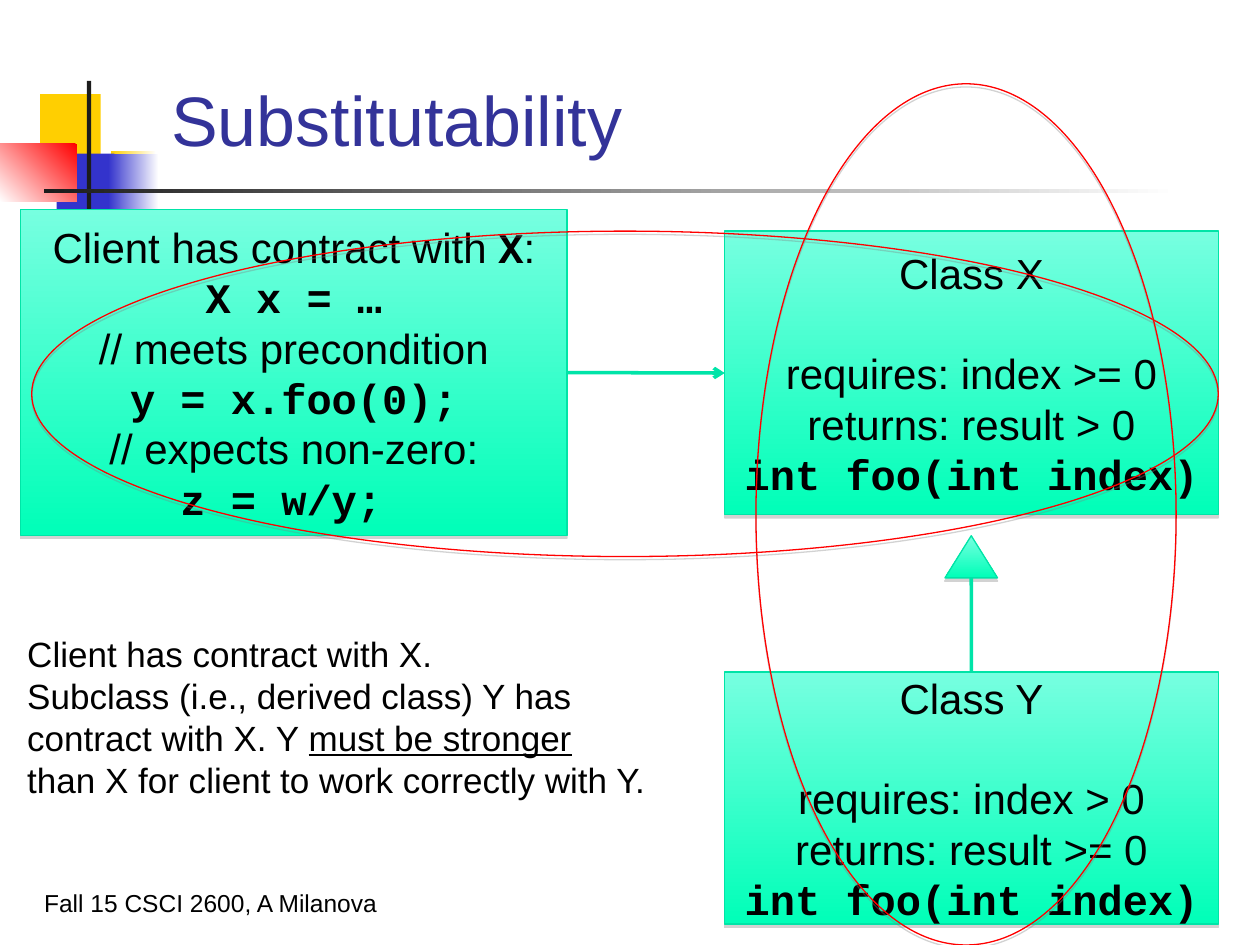
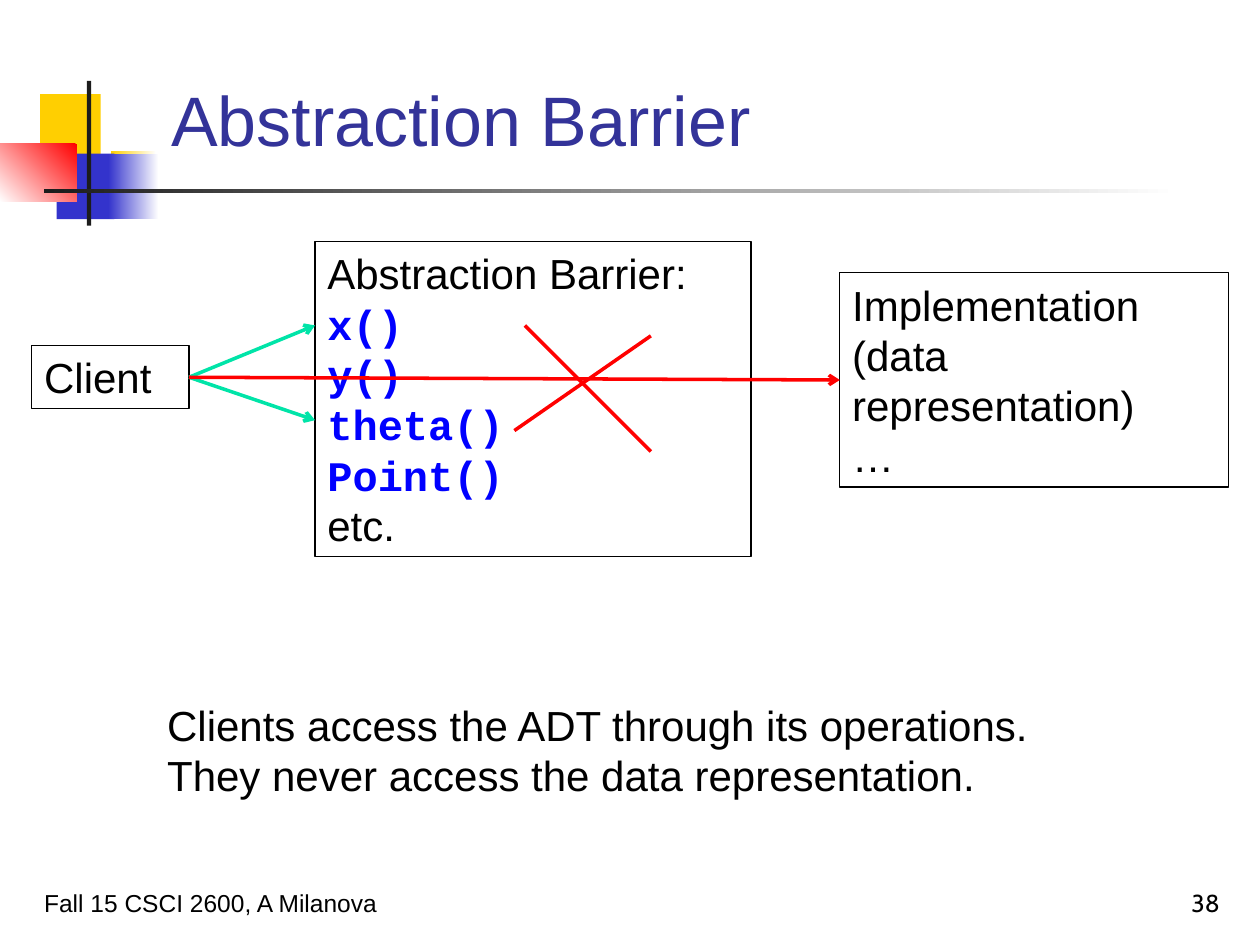
from dataclasses import dataclass

import pptx
import pptx.dml.color
import pptx.enum.shapes
import pptx.enum.text
import pptx.oxml
import pptx.oxml.ns
import pptx.util
from pptx.util import Cm


@dataclass(frozen=True)
class Theme:
    sans: str = "Arial"
    mono: str = "Courier New"
    number_font: str = "Cabin"
    title_size: int = 40
    text_size: int = 24
    note_size: int = 20
    footer_size: int = 14
    line_pitch: float = 1.2
    title: str = "333399"
    text: str = "000000"
    api: str = "0000FF"
    red: str = "FF0000"
    yellow: str = "FFCF01"
    blue: str = "3333CC"
    ink: str = "1C1C1C"
    white: str = "FFFFFF"
    mint_light: str = "77FFE0"
    mint: str = "00FFB8"
    mint_edge: str = "00E4A7"
    mint_arrow: str = "00E4A8"


theme = Theme()
rgb = pptx.dml.color.RGBColor.from_string
Shape = pptx.enum.shapes.MSO_SHAPE
Align = pptx.enum.text.PP_ALIGN
Anchor = pptx.enum.text.MSO_ANCHOR
DRAWING = pptx.oxml.ns.nsdecls("a")
SHADOW = (f'<a:outerShdw {DRAWING} blurRad="0" dist="22860" dir="5400000" rotWithShape="0">'
          '<a:srgbClr val="808080"><a:alpha val="35000"/></a:srgbClr></a:outerShdw>')


def blend(shape, start, end, angle):
    """Fill with a linear gradient; the angle runs counter-clockwise."""
    shape.fill.gradient()
    shape.fill.gradient_angle = angle
    for stop, colour, position in zip(shape.fill.gradient_stops, (start, end), (0, 1)):
        stop.color.rgb = rgb(colour)
        stop.position = position


def write(shape, lines, size=theme.text_size, align=Align.LEFT, anchor=Anchor.TOP, font=theme.sans):
    """Write lines; each is a text or a list of (text, style) parts."""
    frame = shape.text_frame
    frame.word_wrap = True
    frame.vertical_anchor = anchor
    for i, line in enumerate(lines):
        paragraph = frame.add_paragraph() if i else frame.paragraphs[0]
        parts = [(line, "plain")] if isinstance(line, str) else line
        paragraph.alignment = align
        paragraph.line_spacing = pptx.util.Pt(size * theme.line_pitch)
        paragraph.font.size = pptx.util.Pt(size)
        paragraph.font.color.rgb = rgb(theme.api if parts[0][1] == "api" else theme.text)
        if len(parts) == 1:
            paragraph.font.name = font
        for text, style in parts:
            if text == "\v":
                paragraph.add_line_break()
                continue
            run = paragraph.add_run()
            run.text = text
            target = paragraph.font if len(parts) == 1 else run.font
            target.name = theme.mono if style in ("code", "api") else font
            target.bold = style in ("code", "api")
            if style == "underlined":
                target.underline = True


deck = pptx.Presentation()
deck.slide_width, deck.slide_height = Cm(25.4), Cm(19.05)
layout = deck.slide_layouts[5]

# Titles and footers
slides = []
for heading in ("Substitutability", "Abstraction Barrier"):
    slide = deck.slides.add_slide(layout)
    slides.append(slide)
    title = slide.shapes.title
    title.left, title.top, title.width, title.height = Cm(3.2), Cm(0.58), Cm(21.64), Cm(2.79)
    title.text_frame.text = heading
    title.text_frame.auto_size = pptx.enum.text.MSO_AUTO_SIZE.NONE
    title.text_frame.vertical_anchor = Anchor.BOTTOM
    heading_line = title.text_frame.paragraphs[0]
    heading_line.alignment = Align.LEFT
    heading_line.font.name = theme.sans
    heading_line.font.size = pptx.util.Pt(theme.title_size)
    heading_line.font.color.rgb = rgb(theme.title)
    footer = slide.shapes.add_textbox(Cm(0.64), Cm(17.35), Cm(13.13), Cm(1.27))
    write(footer, ["Fall 15 CSCI 2600, A Milanova"], theme.footer_size, anchor=Anchor.BOTTOM)
substitutability, barrier_slide = slides

# Corner blocks and title rule, moved to the shared layout
ornaments = [
    ((0.81, 1.9, 1.22, 1.32), theme.yellow, None, 0),
    ((2.24, 3.05, 0.91, 1.32), theme.white, theme.yellow, 180),
    ((1.14, 3.1, 1.17, 1.32), theme.blue, None, 0),
    ((2.18, 3.1, 1.02, 1.32), theme.white, theme.blue, 180),
    ((0, 2.9, 1.55, 1.17), theme.red, theme.white, 225),
    ((1.75, 1.63, 0.09, 2.92), theme.ink, None, 0),
    ((0.89, 3.81, 22.86, 0.08), theme.white, theme.ink, 180),
]
for i, (box, start, end, angle) in enumerate(ornaments):
    ornament = substitutability.shapes.add_shape(Shape.RECTANGLE, *map(Cm, box))
    ornament.shadow.inherit = False
    ornament.line.fill.background()
    if end:
        blend(ornament, start, end, angle)
    else:
        ornament.fill.solid()
        ornament.fill.fore_color.rgb = rgb(start)
    ornament.element.nvSpPr.cNvPr.id = 20 + i
    layout.shapes.element.insert(2 + i, ornament.element)

# Substitutability: client, classes, inheritance arrowhead and contract ovals
signature = [("int foo(int index)", "code")]
client_lines = [
    [("Client has contract with ", "plain"), ("X", "code"), (":", "plain")],
    [("X x = …", "code")],
    "// meets precondition",
    [("y = x.foo(0);", "code")],
    "// expects non-zero:",
    [("z = w/y; ", "code")],
]
x_lines = ["Class X", "requires: index >= 0", "returns: result > 0", signature]
y_lines = ["Class Y", "requires: index > 0", "returns: result >= 0", signature]
figures = []
for kind, box, lines in [
    (Shape.RECTANGLE, (0.42, 4.23, 11.01, 6.56), client_lines),
    (Shape.RECTANGLE, (14.61, 4.66, 9.95, 5.72), x_lines),
    (Shape.OVAL, (0.64, 4.66, 23.92, 6.56), None),
    (Shape.RECTANGLE, (14.61, 13.55, 9.95, 5.08), y_lines),
    (Shape.ISOSCELES_TRIANGLE, (19.05, 10.8, 1.06, 0.85), None),
    (Shape.OVAL, (15.24, 1.69, 8.47, 17.36), None),
]:
    figure = substitutability.shapes.add_shape(kind, *map(Cm, box))
    if kind == Shape.OVAL:
        figure.fill.background()
    else:
        blend(figure, theme.mint_light, theme.mint, 270)
    figure.line.color.rgb = rgb(theme.red if kind == Shape.OVAL else theme.mint_edge)
    figure.line.width = pptx.util.Pt(0.75)
    figure.shadow.inherit = False
    effects = figure.element.spPr.find(pptx.oxml.ns.qn("a:effectLst"))
    effects.append(pptx.oxml.parse_xml(SHADOW))
    if lines:
        write(figure, lines, align=Align.CENTER, anchor=Anchor.MIDDLE)
    figures.append(figure)
contract_client, class_x, _, class_y, _, _ = figures
for class_box in (class_x, class_y):
    requirement = class_box.text_frame.paragraphs[1]
    requirement.space_before = pptx.util.Pt(theme.text_size * theme.line_pitch)

explanation = substitutability.shapes.add_textbox(Cm(0.3), Cm(12.62), Cm(13.08), Cm(3.66))
write(explanation, [
    "Client has contract with X.",
    [("Subclass (i.e., derived class) Y has ", "plain"), ("\v", "plain"),
     ("contract with X. Y ", "plain"), ("must be stronger", "underlined")],
    "than X for client to work correctly with Y.",
], theme.note_size)

# Abstraction Barrier: page number, three boxes and conclusion
page_number = barrier_slide.shapes.add_textbox(Cm(19.56), Cm(17.35), Cm(5.28), Cm(1.27))
write(page_number, ["38"], theme.footer_size, Align.RIGHT, Anchor.BOTTOM, theme.number_font)

operations = [[(name, "api")] for name in ("x()", "y()", "theta()", "Point()")]
implementation_lines = [
    [("Implementation", "plain"), ("\v", "plain"), ("(data representation)", "plain")],
    "…",
]
outlined = []
for box, lines in [
    ((0.64, 6.97, 3.17, 1.27), ["Client"]),
    ((6.35, 4.87, 8.79, 6.35), ["Abstraction Barrier:", *operations, "etc."]),
    ((16.93, 5.5, 7.83, 4.32), implementation_lines),
]:
    outline = barrier_slide.shapes.add_textbox(*map(Cm, box))
    outline.line.color.rgb = rgb(theme.text)
    outline.line.width = pptx.util.Pt(0.75)
    write(outline, lines)
    outlined.append(outline)
client, _, implementation = outlined

conclusion = barrier_slide.shapes.add_textbox(Cm(3.12), Cm(13.97), Cm(18.16), Cm(2.29))
write(conclusion, [
    "Clients access the ADT through its operations.",
    "They never access the data representation.",
])

# Lines and arrows: ends, colour, arrowhead, (shape, side) joined at either end
for slide, ends, colour, has_arrow, begin, end in [
    (substitutability, (19.58, 11.65, 19.58, 13.55), theme.mint_arrow, False, None, (class_y, 0)),
    (substitutability, (11.43, 7.51, 14.61, 7.52), theme.mint_arrow, True,
     (contract_client, 3), (class_x, 1)),
    (barrier_slide, (3.81, 7.61, 6.35, 6.56), theme.mint_arrow, True, (client, 3), None),
    (barrier_slide, (3.81, 7.61, 6.35, 8.47), theme.mint_arrow, True, (client, 3), None),
    (barrier_slide, (3.81, 7.61, 16.93, 7.66), theme.red, True, (client, 3), (implementation, 1)),
    (barrier_slide, (10.58, 6.56, 13.12, 9.1), theme.red, False, None, None),
    (barrier_slide, (13.12, 6.77, 10.37, 8.68), theme.red, False, None, None),
]:
    link = slide.shapes.add_connector(pptx.enum.shapes.MSO_CONNECTOR.STRAIGHT, *map(Cm, ends))
    if begin:
        link.begin_connect(*begin)
    if end:
        link.end_connect(*end)
    link.line.color.rgb = rgb(colour)
    link.line.width = pptx.util.Pt(2)
    if has_arrow:
        link.line.fill  # the outline exists before its arrowhead
        outline_xml = link.element.spPr.find(pptx.oxml.ns.qn("a:ln"))
        outline_xml.append(pptx.oxml.parse_xml(f'<a:tailEnd {DRAWING} type="arrow"/>'))
    link.element.spPr.append(pptx.oxml.parse_xml(f"<a:effectLst {DRAWING}/>"))

deck.save("out.pptx")
